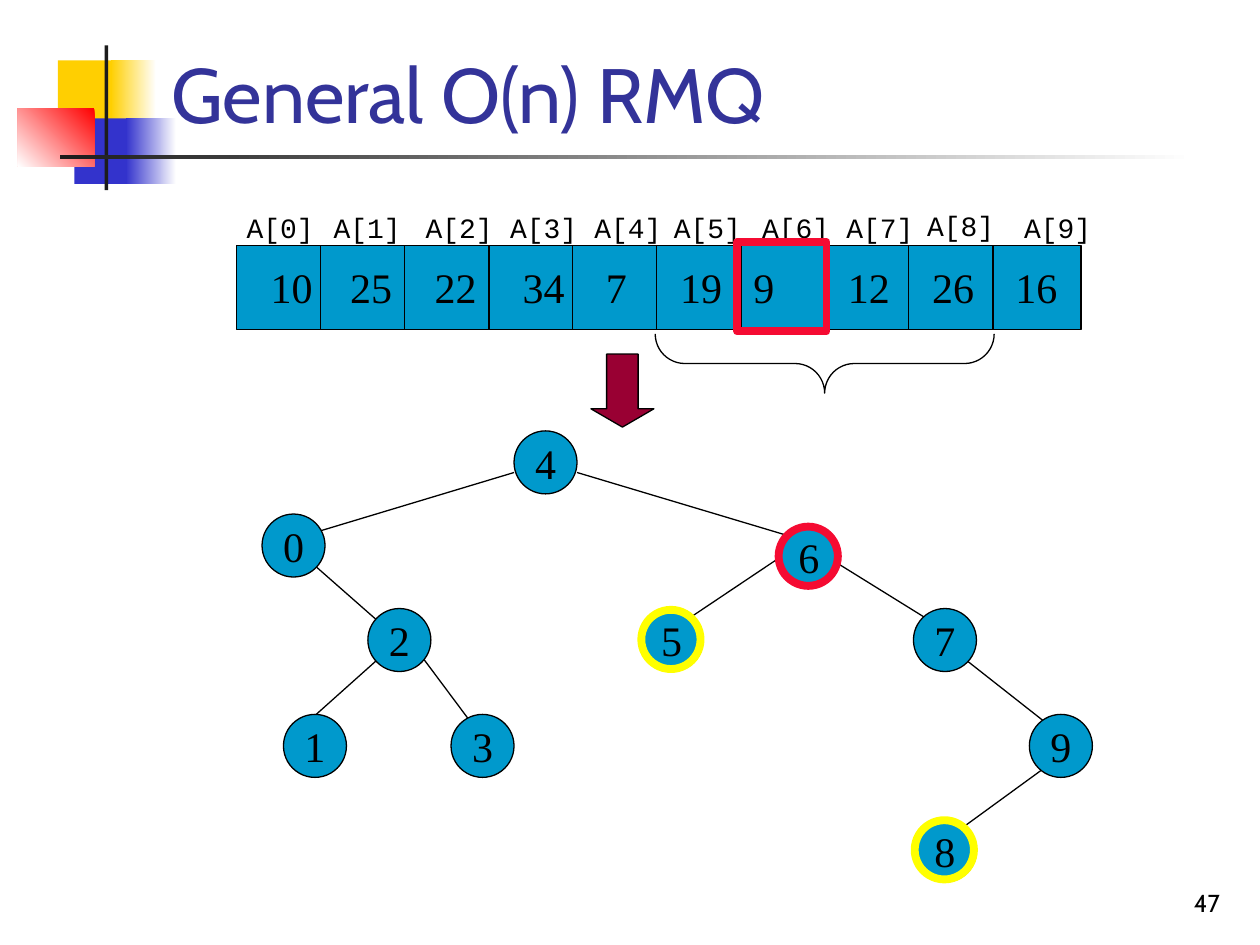
"""Build the slide that turns a general range minimum query into a tree."""
from lxml.etree import SubElement
from pptx import Presentation
from pptx.dml.color import RGBColor
from pptx.enum.shapes import MSO_CONNECTOR, MSO_SHAPE
from pptx.enum.text import MSO_ANCHOR, PP_ALIGN
from pptx.oxml.ns import qn
from pptx.util import Inches, Pt

COLORS = {
    "black": "000000", "white": "FFFFFF", "ink": "1C1C1C", "title": "333399",
    "gold": "FFCF01", "blue": "3333CC", "red": "FF0000", "cell": "0099CC",
    "arrow": "990033", "yellow": "FFFF00", "mark": "F50B32",
}
HUES = {name: RGBColor.from_string(code) for name, code in COLORS.items()}

deck = Presentation()
deck.slide_width, deck.slide_height = Inches(10), Inches(7.5)
slide = deck.slides.add_slide(deck.slide_layouts[5])
shapes = slide.shapes


def draw(kind, box, fill=None, line=None, width=0.75):
    """Add a preset shape with a plain, gradient or empty fill."""
    shape = shapes.add_shape(kind, *map(Inches, box))
    shape.shadow.inherit = False
    if fill is None:
        shape.fill.background()
    elif isinstance(fill, tuple):
        shape.fill.gradient()
        shape.fill.gradient_angle = fill[2]
        for stop, hue in zip(shape.fill.gradient_stops, fill):
            stop.color.rgb = HUES[hue]
    else:
        shape.fill.solid()
        shape.fill.fore_color.rgb = HUES[fill]
    if line is None:
        shape.line.fill.background()
    else:
        shape.line.color.rgb = HUES[line]
        shape.line.width = Pt(width)
    return shape


def write(shape, text, size, face, hue="black", align=PP_ALIGN.LEFT,
          anchor=MSO_ANCHOR.TOP, wrap=False):
    """Put one formatted run into a shape."""
    frame = shape.text_frame
    frame.word_wrap = wrap
    frame.vertical_anchor = anchor
    para = frame.paragraphs[0]
    para.alignment = align
    run = para.add_run()
    run.text = text
    run.font.size = Pt(size)
    run.font.name = face
    run.font.color.rgb = HUES[hue]


for box, fill in [
    ((0.46, 0.48, 0.48, 0.52), "gold"),
    ((0.88, 0.48, 0.36, 0.52), ("white", "gold", 180)),
    ((0.59, 0.94, 0.46, 0.52), "blue"),
    ((1, 0.94, 0.4, 0.52), ("white", "blue", 180)),
    ((0.14, 0.86, 0.61, 0.46), ("red", "white", 225)),
    ((0.83, 0.36, 0.03, 1.15), "ink"),
    ((0.48, 1.23, 9, 0.03), ("white", "ink", 180)),
]:
    draw(MSO_SHAPE.RECTANGLE, box, fill)

title = shapes.title
title.left, title.top = Inches(1.26), Inches(0.23)
title.width, title.height = Inches(8.52), Inches(0.92)
write(title, "General O(n) RMQ", 44, "Cabin", "title",
      anchor=MSO_ANCHOR.BOTTOM, wrap=True)

number = shapes.add_textbox(Inches(7.7), Inches(6.83), Inches(2.08), Inches(0.5))
write(number, "47", 14, "Cabin", align=PP_ALIGN.RIGHT,
      anchor=MSO_ANCHOR.BOTTOM, wrap=True)

left, top, step = 1.88, 1.95, 2 / 3
draw(MSO_SHAPE.RECTANGLE, (left, top, 6.7, step), "cell", "black")
lines = [(left + i * step, top, left + i * step, top + step) for i in range(1, 10)]
lines += [
    (4.58, 3.75, 6.25, 4.25), (4.08, 3.75, 2.42, 4.25),
    (2.42, 4.42, 3.08, 5), (3.17, 5.08, 2.42, 5.75),
    (3.25, 5.08, 3.75, 5.75), (6.33, 4.33, 5.33, 5),
    (6.42, 4.33, 7.5, 5), (7.58, 5.17, 8.42, 5.83),
    (8.42, 6, 7.5, 6.67),
]
for ends in lines:
    line = shapes.add_connector(MSO_CONNECTOR.STRAIGHT, *map(Inches, ends))
    line.line.color.rgb = HUES["black"]
    line.line.width = Pt(0.75)
    SubElement(line._element.spPr, qn("a:effectLst"))

cells = [
    ("10", 2.05, 1.86), ("25", 2.68, 2.55), ("22", 3.35, 3.28),
    ("34", 4.05, 3.95), ("7", 4.71, 4.62), ("19", 5.3, 5.25),
    ("9", 5.88, 5.95), ("12", 6.63, 6.62), ("26", 7.3, 7.26),
    ("16", 7.96, 8.03),
]
for i, (value, x, tag) in enumerate(cells):
    box = shapes.add_textbox(Inches(x), Inches(2.03),
                             Inches(0.2 + len(value) / 6), Inches(0.5))
    write(box, value, 24, "Times New Roman")
    label = shapes.add_textbox(Inches(tag), Inches(1.61 if i == 8 else 1.62),
                               Inches(0.73), Inches(0.37))
    write(label, f"A[{i}]", 16, "Courier New")

arrow = draw(MSO_SHAPE.DOWN_ARROW, (4.69, 2.81, 0.5, 0.58), "arrow", "black")
arrow.adjustments[1] = 0.29

nodes = [
    (2.08, 4.08), (2.25, 5.67), (2.92, 4.83), (3.58, 5.67), (4.08, 3.42),
    (5.08, 4.83), (6.17, 4.17), (7.25, 4.83), (7.25, 6.5), (8.17, 5.67),
]
rings = {5: "yellow", 6: "mark", 8: "yellow"}
for i, (x, y) in enumerate(nodes):
    node = draw(MSO_SHAPE.OVAL, (x, y, 0.5, 0.5), "cell", "black")
    write(node, str(i), 24, "Times New Roman", align=PP_ALIGN.CENTER,
          anchor=MSO_ANCHOR.MIDDLE)
    if i in rings:
        draw(MSO_SHAPE.OVAL, (x + 0.01, y + 0.01, 0.47, 0.47), None, rings[i], 4.5)

brace = draw(MSO_SHAPE.LEFT_BRACE, (6.31, 1.54, 0.47, 2.69), None, "black")
brace.rotation = 270
brace.adjustments[0] = 0.5
draw(MSO_SHAPE.RECTANGLE, (5.85, 1.92, 0.71, 0.71), None, "mark", 4.5)

deck.save("out.pptx")
